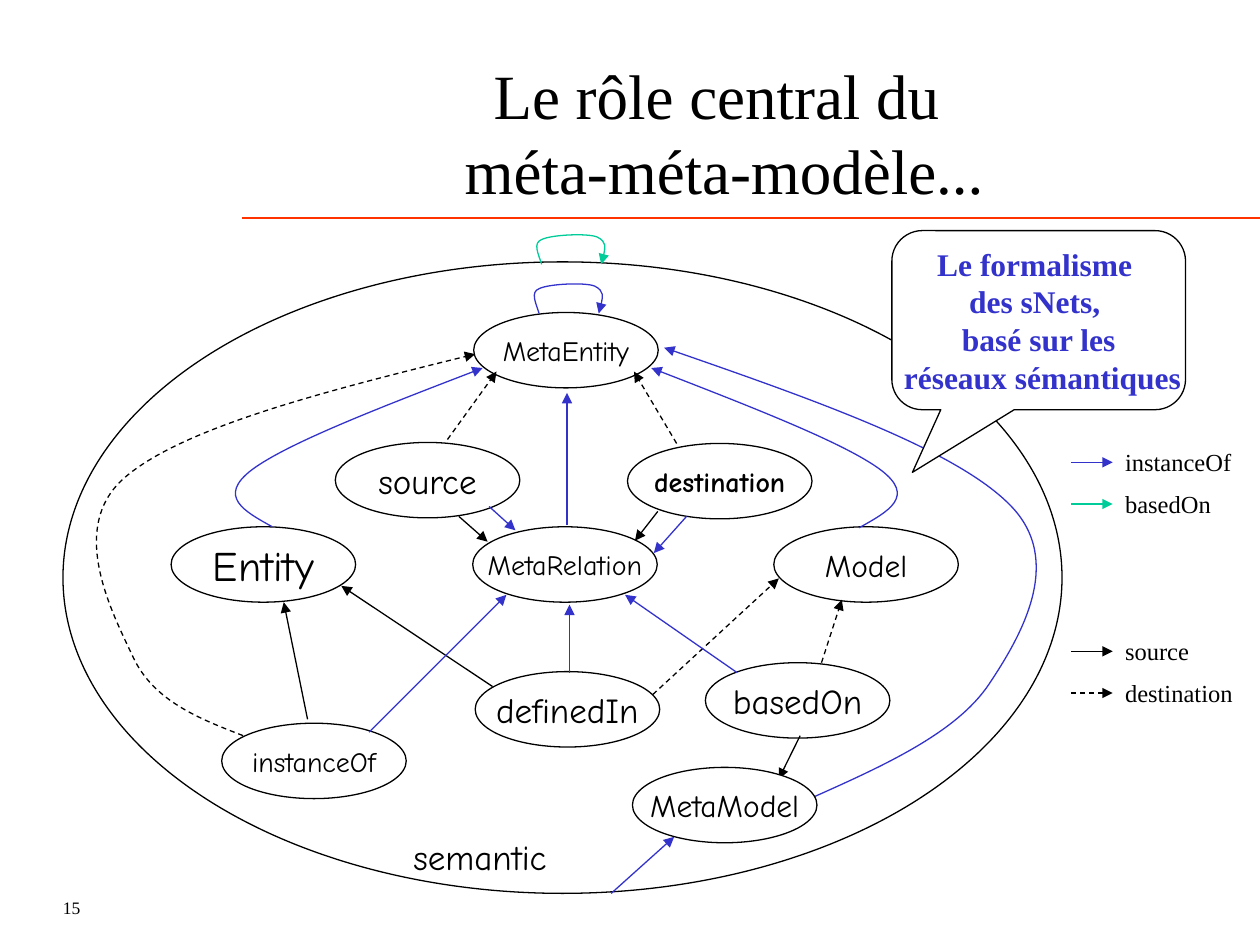
from lxml import etree
from pptx import Presentation
from pptx.dml.color import RGBColor
from pptx.enum.dml import MSO_LINE
from pptx.enum.shapes import MSO_CONNECTOR, MSO_SHAPE
from pptx.enum.text import MSO_ANCHOR, PP_ALIGN
from pptx.oxml.ns import qn
from pptx.util import Cm, Pt

OVAL = MSO_SHAPE.OVAL
CALLOUT = MSO_SHAPE.ROUNDED_RECTANGULAR_CALLOUT
STRAIGHT = MSO_CONNECTOR.STRAIGHT
DASH = MSO_LINE.DASH
CENTER, LEFT = PP_ALIGN.CENTER, PP_ALIGN.LEFT
MIDDLE, TOP, BOTTOM = MSO_ANCHOR.MIDDLE, MSO_ANCHOR.TOP, MSO_ANCHOR.BOTTOM

SERIF, HAND = "Times New Roman", "Comic Neue"
BLACK, WHITE, BLUE, GREEN, RED = "000000", "FFFFFF", "3333CC", "00CC99", "FF3300"
NODE_W, NODE_H = 3.72, 1.52

NODES = [
    ("MetaRelation", 9.53, 10.62, 16, False),
    ("Entity", 3.45, 10.62, 24, False),
    ("MetaEntity", 9.55, 6.3, 16, False),
    ("Model", 15.6, 10.62, 18, False),
    ("instanceOf", 4.47, 14.58, 16, False),
    ("source", 6.76, 8.92, 20, False),
    ("definedIn", 9.58, 13.54, 20, False),
    ("basedOn", 14.22, 13.36, 20, False),
    ("destination", 12.65, 8.94, 16, True),
]
SOURCE_LINKS = [
    (6.2, 14.5, 5.72, 12.14),
    (9.93, 13.84, 6.88, 11.81),
    (9.25, 10.41, 9.83, 10.92),
    (13.26, 10.31, 12.8, 10.9),
    (16.13, 14.83, 15.7, 15.7),
]
DESTINATION_LINKS = [
    (13.16, 14, 15.7, 11.66),
    (9.02, 8.86, 10.01, 7.49),
    (13.64, 8.94, 12.78, 7.49),
    (16.56, 13.36, 16.97, 12.09),
]
INSTANCE_LINKS = [
    (11.48, 13.56, 11.48, 12.19),
    (7.44, 14.76, 10.21, 11.99),
    (14.86, 13.56, 12.6, 11.99),
    (13.84, 10.41, 13.18, 11.15),
    (9.86, 10.21, 10.39, 10.69),
    (11.43, 10.59, 11.43, 7.92),
    (12.32, 18.01, 13.59, 16.87),
]
INSTANCE_TO_META = [
    (4.9, 14.83), (3.99, 14.48), (3.1, 14.12), (2.69, 13.26), (2.29, 12.4),
    (1.35, 10.67), (2.49, 9.65), (3.63, 8.64), (6.6, 7.87), (9.58, 7.14),
]
ENTITY_TO_META = [
    (5.49, 10.62), (4.93, 10.31), (4.37, 10.01), (5.08, 9.47),
    (5.79, 8.94), (7.75, 8.18), (9.73, 7.42),
]
MODEL_TO_META = [
    (17.32, 10.64), (17.91, 10.31), (18.47, 10.01), (17.75, 9.47),
    (17.04, 8.94), (15.09, 8.18), (13.13, 7.42),
]
METAMODEL_TO_META = [
    (16.33, 16.1), (17.81, 15.44), (19.28, 14.78), (19.94, 13.79), (20.6, 12.8),
    (21.46, 11.3), (20.37, 10.19), (19.28, 9.07), (16.33, 8.03), (13.39, 7.01),
]
META_LOOP = [
    (10.87, 6.32), (10.8, 6.1), (10.69, 5.89), (10.87, 5.82), (11.07, 5.72),
    (11.81, 5.69), (11.99, 5.77), (12.19, 5.87), (12.14, 6.1), (12.07, 6.32),
]
SEMANTIC_LOOP = [(x + 0.05, y - 0.99) for x, y in META_LOOP]
LEGEND = [
    ("instanceOf", 9.32, BLUE, False),
    ("basedOn", 10.16, GREEN, False),
    ("source", 13.13, BLACK, False),
    ("destination", 13.97, BLACK, True),
]


def rgb(color):
    return RGBColor.from_string(color)


def write(tf, text, size=14, font=SERIF, color=BLACK, bold=False,
          align=CENTER, anchor=MIDDLE, wrap=False):
    tf.word_wrap = wrap
    tf.vertical_anchor = anchor
    tf.margin_left = tf.margin_right = Cm(0.25)
    tf.margin_top = tf.margin_bottom = Cm(0.13)
    tf.text = text
    for p in tf.paragraphs:
        p.alignment = align
        for r in p.runs:
            r.font.size = Pt(size)
            r.font.name = font
            r.font.bold = bold
            r.font.color.rgb = rgb(color)


class Board:
    def __init__(self, prs):
        self.s = prs.slides.add_slide(prs.slide_layouts[5])
        self.line_width = Pt(0.75)

    def stroke(self, sp, color, dashed=False, arrow=False):
        sp.line.color.rgb = rgb(color)
        sp.line.width = self.line_width
        if dashed:
            sp.line.dash_style = DASH
        if arrow:
            etree.SubElement(sp.line._get_or_add_ln(), qn("a:tailEnd"), type="triangle")

    def title(self, text, x, y, w, h):
        sp = self.s.shapes.title
        sp.left, sp.top, sp.width, sp.height = map(Cm, (x, y, w, h))
        write(sp.text_frame, text, size=36, wrap=True)

    def text(self, text, x, y, w, h, **fmt):
        sp = self.s.shapes.add_textbox(Cm(x), Cm(y), Cm(w), Cm(h))
        write(sp.text_frame, text, align=LEFT, **fmt)

    def shape(self, kind, x, y, w, h, text="", fill=None, line=BLACK, **fmt):
        sp = self.s.shapes.add_shape(kind, Cm(x), Cm(y), Cm(w), Cm(h))
        sp.shadow.inherit = False
        if fill:
            sp.fill.solid()
            sp.fill.fore_color.rgb = rgb(fill)
        else:
            sp.fill.background()
        if line:
            self.stroke(sp, line)
        else:
            sp.line.fill.background()
        if text:
            write(sp.text_frame, text, **fmt)
        return sp

    def node(self, text, x, y, size, bold=False, **style):
        self.shape(OVAL, x, y, NODE_W, NODE_H, text, size=size, bold=bold, font=HAND, **style)

    def line(self, x1, y1, x2, y2, color=BLACK, dashed=False, arrow=True):
        sp = self.s.shapes.add_connector(STRAIGHT, Cm(x1), Cm(y1), Cm(x2), Cm(y2))
        self.stroke(sp, color, dashed, arrow)
        etree.SubElement(sp._element.spPr, qn("a:effectLst"))
        return sp

    def curve(self, points, color, dashed=False):
        start, *rest = [(Cm(x), Cm(y)) for x, y in points]
        fb = self.s.shapes.build_freeform(*start)
        fb.add_line_segments(rest, close=False)
        sp = fb.convert_to_shape()
        sp.shadow.inherit = False
        sp.fill.background()
        self.stroke(sp, color, dashed, arrow=True)
        outline = sp._element.xpath(".//a:path")[0]
        segments = outline.findall(qn("a:lnTo"))
        for i in range(0, len(segments), 3):
            bezier = etree.SubElement(outline, qn("a:cubicBezTo"))
            for segment in segments[i:i + 3]:
                bezier.append(segment[0])
                outline.remove(segment)


def main():
    prs = Presentation()
    prs.slide_width, prs.slide_height = Cm(25.4), Cm(19.05)
    board = Board(prs)

    board.text("15", 1.02, 17.78, 5.28, 0.86, size=10, anchor=BOTTOM)
    board.line(4.88, 4.39, 25.4, 4.39, RED, arrow=False).line.width = Pt(1)
    board.title("Le rôle central du \vméta-méta-modèle...", 3.81, 1.07, 21.59, 3.18)

    board.shape(OVAL, 1.27, 5.28, 20.14, 12.73)
    for node in NODES:
        board.node(*node)
    for link in SOURCE_LINKS:
        board.line(*link)
    for link in DESTINATION_LINKS:
        board.line(*link, dashed=True)
    for link in INSTANCE_LINKS:
        board.line(*link, color=BLUE)
    board.curve(INSTANCE_TO_META, BLACK, dashed=True)
    for points in (ENTITY_TO_META, MODEL_TO_META, META_LOOP, METAMODEL_TO_META):
        board.curve(points, BLUE)
    board.curve(SEMANTIC_LOOP, GREEN)
    board.node("MetaModel", 12.75, 15.47, 18, fill=WHITE)
    board.node("semantic", 7.82, 16.51, 20, line=None)

    callout = board.shape(
        CALLOUT, 17.98, 4.65, 5.92, 3.61,
        "Le formalisme \ndes sNets, \nbasé sur les\n réseaux sémantiques",
        fill=WHITE, size=18, color=BLUE, bold=True)
    for i, value in enumerate((-0.43, 0.85, 0.17)):
        callout.adjustments[i] = value

    for label, y, color, dashed in LEGEND:
        board.line(21.59, y, 22.43, y, color, dashed)
        board.text(label, 22.43, y - 0.43, 2.97, 0.86, anchor=TOP, wrap=True)

    prs.save("out.pptx")


if __name__ == "__main__":
    main()
